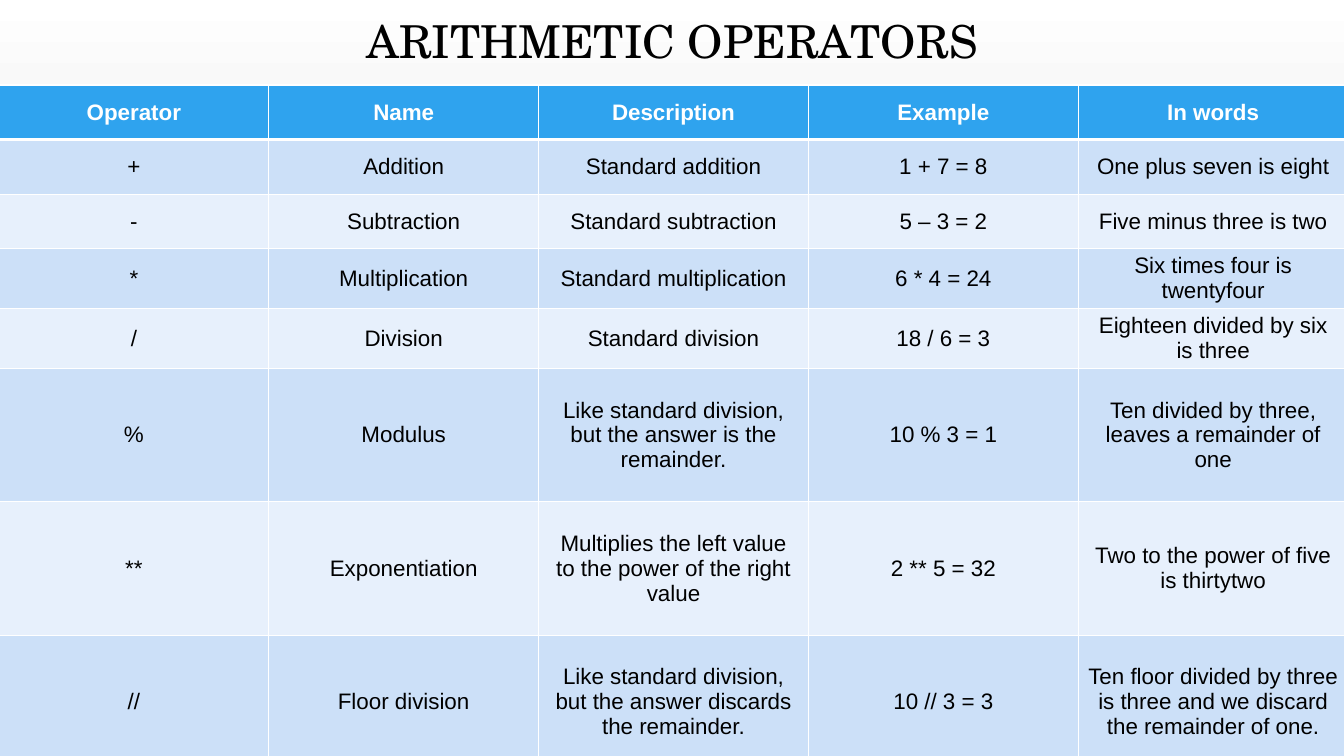
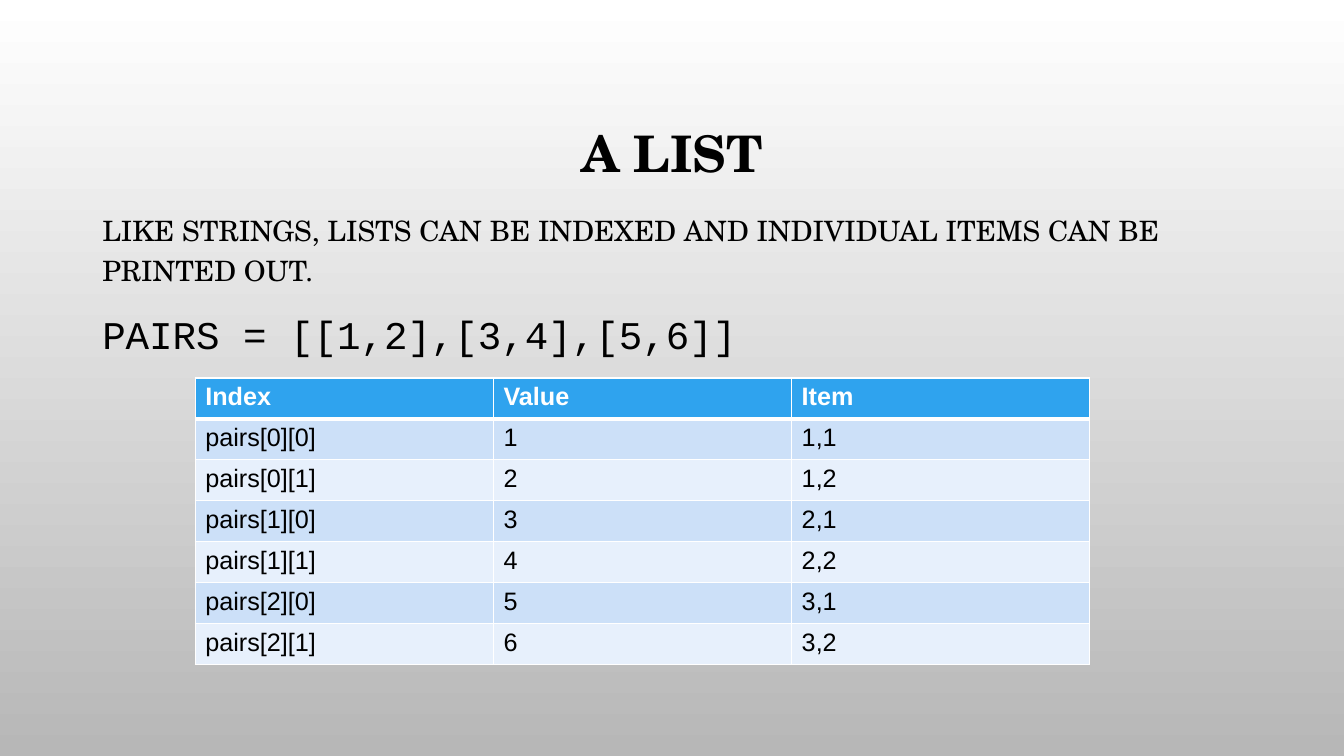
from lxml import etree
from pptx import Presentation
from pptx.dml.color import RGBColor
from pptx.enum.text import MSO_ANCHOR as Anchor, MSO_AUTO_SIZE as Fit, PP_ALIGN as Align
from pptx.oxml.ns import qn
from pptx.util import Pt

PX = 9525  # EMU in one px, at 96 px to the inch
SERIF, SANS, MONO = "TeX Gyre Schola", "Arial", "Courier New"
BLACK, WHITE, GREY = "000000", "FFFFFF", "B7B7B7"
HEAD, BANDS = "2FA3EE", ("CCE0F8", "E7F0FC")

MATHS = [
    ("Operator", "Name", "Description", "Example", "In words"),
    ("+", "Addition", "Standard addition", "1 + 7 = 8", "One plus seven is eight"),
    ("-", "Subtraction", "Standard subtraction", "5 – 3 = 2", "Five minus three is two"),
    ("*", "Multiplication", "Standard multiplication", "6 * 4 = 24",
     "Six times four is twentyfour"),
    ("/", "Division", "Standard division", "18 / 6 = 3", "Eighteen divided by six is three"),
    ("%", "Modulus", "Like standard division, but the answer is the remainder.",
     "10 % 3 = 1", "Ten divided by three, leaves a remainder of one"),
    ("**", "Exponentiation", "Multiplies the left value to the power of the right value",
     "2 ** 5 = 32", "Two to the power of five is thirtytwo"),
    ("//", "Floor division", "Like standard division, but the answer discards the remainder.",
     "10 // 3 = 3", "Ten floor divided by three is three and we discard the remainder of one."),
]
PAIRS = [
    ("Index", "Value", "Item"),
    ("pairs[0][0]", "1", "1,1"),
    ("pairs[0][1]", "2", "1,2"),
    ("pairs[1][0]", "3", "2,1"),
    ("pairs[1][1]", "4", "2,2"),
    ("pairs[2][0]", "5", "3,1"),
    ("pairs[2][1]", "6", "3,2"),
]


def color(code):
    return RGBColor.from_string(code)


def px(*sizes):
    return [size * PX for size in sizes]


def style(para, face, size, ink=BLACK, bold=False):
    for run in para.runs:
        font = run.font
        font.name, font.size, font.bold = face, Pt(size), bold
        font.color.rgb = color(ink)


def backdrop(master):
    fill = master.background.fill
    fill.gradient()
    fill.gradient_angle = 270
    for stop, code, place in zip(fill.gradient_stops, (WHITE, GREY), (0, 1)):
        stop.color.rgb = color(code)
        stop.position = place


def add_slide(prs, text, box, size, bold=False):
    slide = prs.slides.add_slide(prs.slide_layouts[5])
    title = slide.shapes.title
    title.left, title.top, title.width, title.height = px(*box)
    frame = title.text_frame
    frame.text = text
    frame.auto_size = Fit.NONE
    frame.vertical_anchor = Anchor.MIDDLE
    para = frame.paragraphs[0]
    para.alignment, para.line_spacing = Align.CENTER, 0.9
    style(para, SERIF, size, bold=bold)
    return slide


def add_text(slide, box, lines):
    frame = slide.shapes.add_textbox(*px(*box)).text_frame
    frame.word_wrap = True
    for i, (text, face, size) in enumerate(lines):
        para = frame.add_paragraph() if i else frame.paragraphs[0]
        para.text = text
        para.line_spacing = 1.2
        if i:
            para.space_before = Pt(10)
        style(para, face, size)


def add_edges(cell, top, base):
    props = cell._tc.get_or_add_tcPr()
    for side, width in (("L", 1), ("R", 1), ("T", top), ("B", base)):
        line = etree.SubElement(props, qn(f"a:ln{side}"), w=str(Pt(width)))
        fill = etree.SubElement(line, qn("a:solidFill"))
        etree.SubElement(fill, qn("a:srgbClr"), val=WHITE)


def add_grid(slide, spot, wide, highs, data, size, align=Align.LEFT, anchor=Anchor.TOP):
    cols = len(data[0])
    frame = slide.shapes.add_table(len(data), cols, *px(*spot, wide * cols, sum(highs)))
    table = frame.table
    for col in table.columns:
        col.width = wide * PX
    for r, (row, high, texts) in enumerate(zip(table.rows, highs, data)):
        row.height = high * PX
        for cell, text in zip(row.cells, texts):
            # A thick rule parts the header from the body
            add_edges(cell, 3 if r == 1 else 1, 1 if r else 3)
            cell.fill.solid()
            cell.fill.fore_color.rgb = color(BANDS[(r - 1) % 2] if r else HEAD)
            cell.vertical_anchor = anchor
            cell.text_frame.text = text
            para = cell.text_frame.paragraphs[0]
            para.alignment = align
            style(para, SANS, size, BLACK if r else WHITE, bold=r == 0)


def main():
    prs = Presentation()
    prs.slide_width, prs.slide_height = px(1280, 720)
    backdrop(prs.slide_master)

    # Operators
    slide = add_slide(prs, "ARITHMETIC OPERATORS", (319, 20, 642, 43), 32.4)
    add_grid(slide, (-1, 81), 257, [52] * 5 + [127] * 3, MATHS, 16,
             Align.CENTER, Anchor.MIDDLE)

    # Nested list
    slide = add_slide(prs, "A LIST", (96, 65, 1088, 168), 36, bold=True)
    add_text(slide, (88, 192, 1104, 418), [
        ("LIKE STRINGS, LISTS CAN BE INDEXED AND INDIVIDUAL ITEMS CAN BE PRINTED OUT.",
         SERIF, 20),
        ("PAIRS = [[1,2],[3,4],[5,6]]", MONO, 28),
    ])
    add_grid(slide, (186, 360), 284, [39] * len(PAIRS), PAIRS, 18)

    prs.save("out.pptx")


if __name__ == "__main__":
    main()
